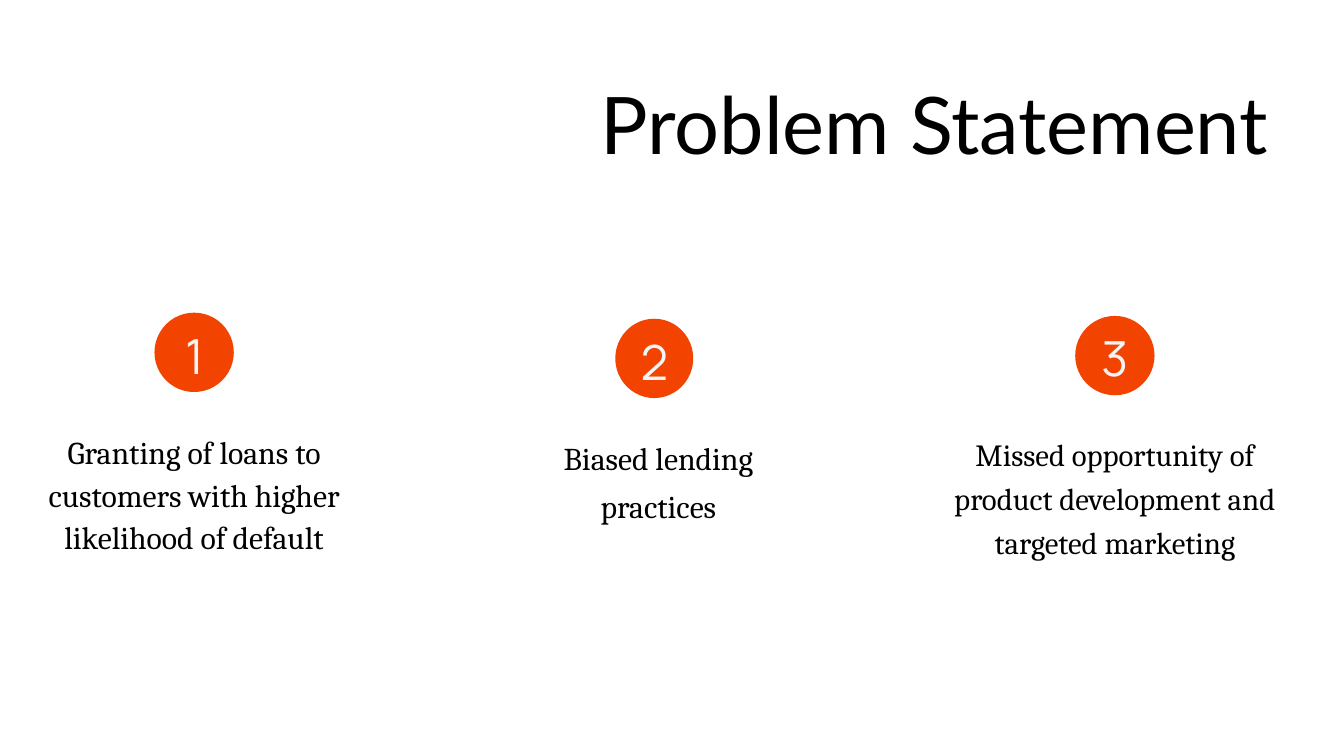
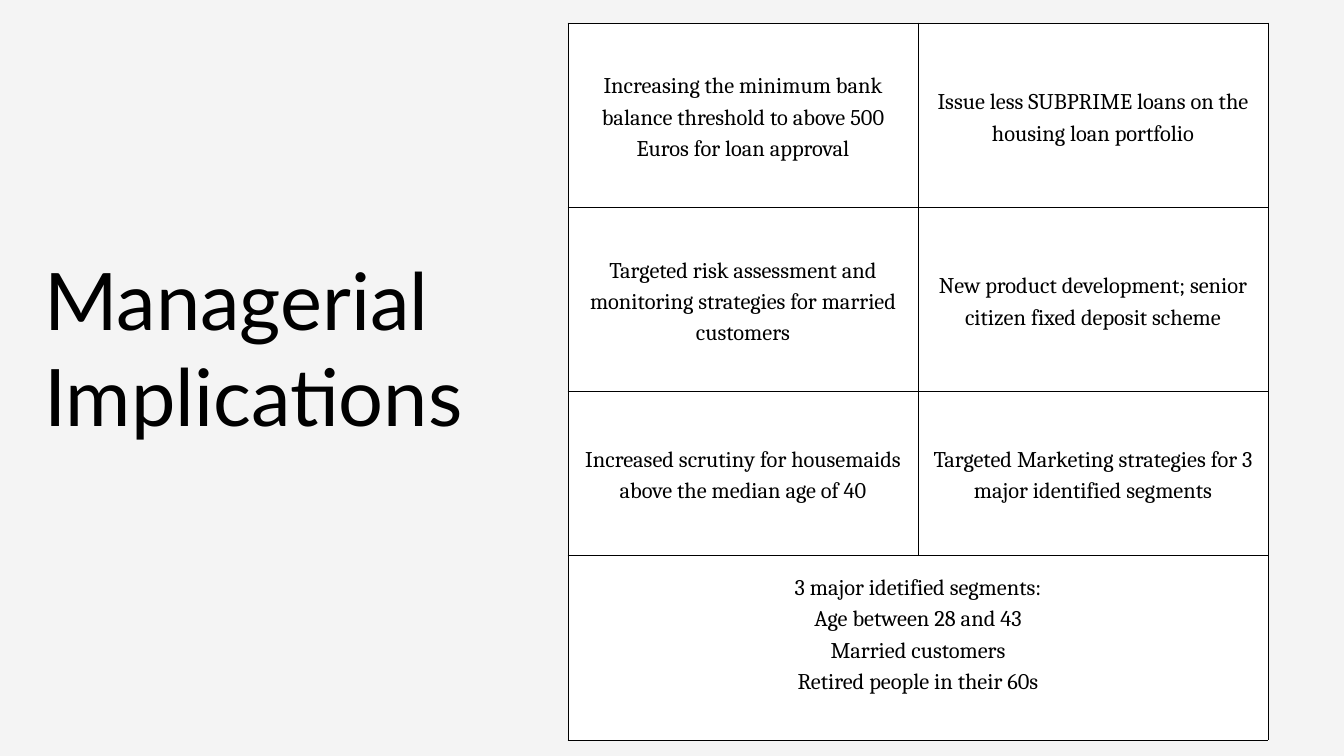
from collections import namedtuple
from dataclasses import dataclass
from lxml.etree import SubElement
from pptx import Presentation
from pptx.dml.color import RGBColor
from pptx.enum.shapes import MSO_SHAPE
from pptx.enum.text import MSO_ANCHOR, PP_ALIGN
from pptx.oxml.ns import qn
from pptx.util import Pt

Style = namedtuple("Style", "font size color")


@dataclass(frozen=True)
class Theme:
    white: str = "FFFFFF"
    pale: str = "F4F4F4"
    accent: str = "F24300"
    ink: str = "000000"
    title: Style = Style("Lato", 85, "000000")
    digit: Style = Style("Manrope", 51.8, "F4F4F4")
    large: Style = Style("Cambria", 34, "000000")
    medium: Style = Style("Cambria", 33, "000000")
    small: Style = Style("Cambria", 24, "000000")


THEME = Theme()
Point = namedtuple("Point", "digit middle top width drop span box text style lead")
POINTS = [
    Point("1", 208, 335, 85, 3.5, 19.5, (6, 459.5, 404, 140),
          "Granting of loans to customers with higher likelihood of default",
          THEME.large, 45.5),
    Point("2", 701, 341.5, 83.5, 4, 29, (510, 460, 391, 98),
          "Biased lending\npractices", THEME.large, 51.3),
    Point("3", 1194.5, 338.5, 85, 3, 31.5, (1000, 460, 389, 138),
          "Missed opportunity of product development and targeted marketing",
          THEME.medium, 46.8),
]
ACTIONS = [
    ["Increasing the minimum bank balance threshold to above 500 Euros for loan approval",
     "Issue less SUBPRIME loans on the housing loan portfolio"],
    ["Targeted risk assessment and monitoring strategies for married customers",
     "New product development; senior citizen fixed deposit scheme"],
    ["Increased scrutiny for housemaids above the median age of 40",
     "Targeted Marketing strategies for 3 major identified segments"],
    ["3 major idetified segments:\nAge between 28 and 43\n"
     "Married customers\nRetired people in their 60s", ""],
]


def paint(fill, color):
    fill.solid()
    fill.fore_color.rgb = RGBColor.from_string(color)


def write(frame, text, style, lead, align):
    frame.text = text
    for para in frame.paragraphs:
        para.alignment = align
        para.line_spacing = Pt(lead)
        for run in para.runs:
            run.font.name = style.font
            run.font.size = Pt(style.size)
            run.font.color.rgb = RGBColor.from_string(style.color)


def add_text(slide, box, text, style, lead, align=PP_ALIGN.CENTER):
    frame = slide.shapes.add_textbox(*map(Pt, box)).text_frame
    frame.word_wrap = True
    frame.margin_left = frame.margin_right = 0
    frame.margin_top = frame.margin_bottom = 0
    write(frame, text, style, lead, align)


def add_title(slide, box, text, align):
    add_text(slide, box, text, THEME.title, 102, align)


def add_point(slide, point):
    left = point.middle - point.width / 2
    disc = slide.shapes.add_shape(
        MSO_SHAPE.OVAL, Pt(left), Pt(point.top), Pt(point.width), Pt(85))
    disc.shadow.inherit = False
    paint(disc.fill, THEME.accent)
    disc.line.fill.background()
    box = point.middle - point.span / 2, point.top + point.drop, point.span, 72.5
    add_text(slide, box, point.digit, THEME.digit, 72.6)
    add_text(slide, point.box, point.text, point.style, point.lead)


def add_border(cell):
    props = cell._tc.get_or_add_tcPr()
    for side in ("lnL", "lnR", "lnT", "lnB"):
        line = SubElement(props, qn(f"a:{side}"), w=str(Pt(0.75)))
        fill = SubElement(line, qn("a:solidFill"))
        SubElement(fill, qn("a:srgbClr"), val=THEME.ink)


def fill_cell(cell, text):
    add_border(cell)
    paint(cell.fill, THEME.white)
    cell.vertical_anchor = MSO_ANCHOR.MIDDLE
    cell.margin_left = cell.margin_right = Pt(15)
    cell.margin_top = cell.margin_bottom = Pt(15)
    if text:
        write(cell.text_frame, text, THEME.small, 33.6, PP_ALIGN.CENTER)


def add_grid(slide, rows, left, top, width, heights):
    count = len(rows[0])
    table = slide.shapes.add_table(
        len(rows), count, Pt(left), Pt(top),
        Pt(width * count), Pt(sum(heights))).table
    table.first_row = table.horz_banding = False
    for column in table.columns:
        column.width = Pt(width)
    for index, (texts, height) in enumerate(zip(rows, heights)):
        table.rows[index].height = Pt(height)
        for place, text in enumerate(texts):
            fill_cell(table.cell(index, place), text)
    last = table.cell(len(rows) - 1, 0)
    last.merge(table.cell(len(rows) - 1, count - 1))
    last.margin_bottom = Pt(48)


def add_slide(deck, color):
    slide = deck.slides.add_slide(deck.slide_layouts[6])
    paint(slide.background.fill, color)
    return slide


def main():
    deck = Presentation()
    deck.slide_width, deck.slide_height = Pt(1440), Pt(810)

    slide = add_slide(deck, THEME.white)
    add_title(slide, (522, 80.5, 836.5, 102), "Problem Statement", PP_ALIGN.RIGHT)
    for point in POINTS:
        add_point(slide, point)

    slide = add_slide(deck, THEME.pale)
    add_grid(slide, ACTIONS, 608.5, 24.5, 375, (198, 196.5, 176, 198))
    add_title(slide, (47.5, 269.5, 527, 204), "Managerial\nImplications", PP_ALIGN.LEFT)

    deck.save("out.pptx")


if __name__ == "__main__":
    main()
